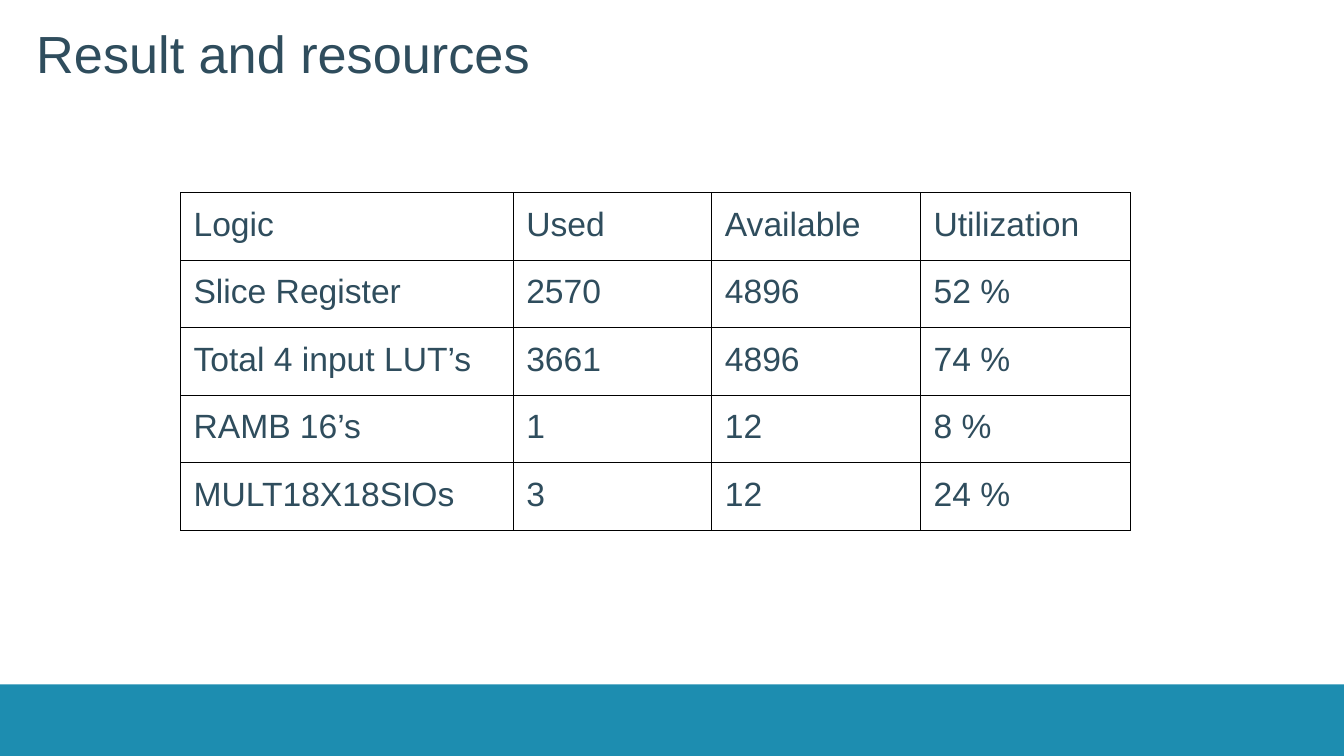
from dataclasses import dataclass

from lxml import etree
from pptx import Presentation
from pptx.dml.color import RGBColor
from pptx.enum.shapes import MSO_SHAPE
from pptx.oxml.ns import qn
from pptx.util import Inches, Pt

RECT = MSO_SHAPE.RECTANGLE


@dataclass(frozen=True)
class Theme:
    font: str = "Arial"
    text: str = "2F4D5D"
    band: str = "1D8DB0"
    border: str = "000000"
    title_size: float = 37.3
    cell_size: float = 24
    border_width: float = 0.75
    inset: float = 0.13


class SlideBuilder:
    def __init__(self, slide, theme):
        self.s = slide
        self.theme = theme

    def band(self, *box):
        sp = self.s.shapes.add_shape(RECT, *map(Inches, box))
        sp.shadow.inherit = False
        sp.fill.solid()
        sp.fill.fore_color.rgb = RGBColor.from_string(self.theme.band)
        sp.line.fill.background()

    def set_text(self, holder, text, size):
        """Set the text and insets of a text frame or table cell."""
        inset = Inches(self.theme.inset)
        holder.margin_left = holder.margin_right = inset
        holder.margin_top = holder.margin_bottom = inset
        holder.text = text
        tf = getattr(holder, "text_frame", holder)
        font = tf.paragraphs[0].font
        font.name = self.theme.font
        font.size = Pt(size)
        font.color.rgb = RGBColor.from_string(self.theme.text)

    def title(self, text, *box):
        tf = self.s.shapes.add_textbox(*map(Inches, box)).text_frame
        tf.word_wrap = True
        self.set_text(tf, text, self.theme.title_size)
        tf.margin_top = Inches(0.18)

    def outline(self, cell):
        tc_pr = cell._tc.get_or_add_tcPr()
        width = str(Pt(self.theme.border_width))
        for i, side in enumerate(("a:lnL", "a:lnR", "a:lnT", "a:lnB")):
            ln = etree.Element(qn(side), w=width)
            fill = etree.SubElement(ln, qn("a:solidFill"))
            etree.SubElement(fill, qn("a:srgbClr"), val=self.theme.border)
            tc_pr.insert(i, ln)

    def table(self, rows, left, top, widths, row_height):
        box = (left, top, sum(widths), row_height * len(rows))
        frame = self.s.shapes.add_table(len(rows), len(widths), *map(Inches, box))
        table = frame.table
        table.first_row = table.horz_banding = False
        for column, width in zip(table.columns, widths):
            column.width = Inches(width)
        for row, values in zip(table.rows, rows):
            row.height = Inches(row_height)
            for cell, value in zip(row.cells, values):
                self.set_text(cell, value, self.theme.cell_size)
                cell.fill.background()
                self.outline(cell)


RESOURCES = [
    ("Logic", "Used", "Available", "Utilization"),
    ("Slice Register", "2570", "4896", "52 %"),
    ("Total 4 input LUT’s", "3661", "4896", "74 %"),
    ("RAMB 16’s", "1", "12", "8 %"),
    ("MULT18X18SIOs", "3", "12", "24 %"),
]


def main():
    prs = Presentation()
    prs.slide_width, prs.slide_height = Inches(13.33), Inches(7.5)
    slide = SlideBuilder(prs.slides.add_slide(prs.slide_layouts[6]), Theme())

    # Footer band
    slide.band(0, 6.79, 13.33, 0.71)

    # Title
    slide.title("Result and resources", 0.23, 0.03, 6.76, 1.1)

    # Resource table
    slide.table(RESOURCES, 1.79, 1.91, (3.3, 1.97, 2.07, 2.08), 0.67)

    prs.save("out.pptx")


if __name__ == "__main__":
    main()
